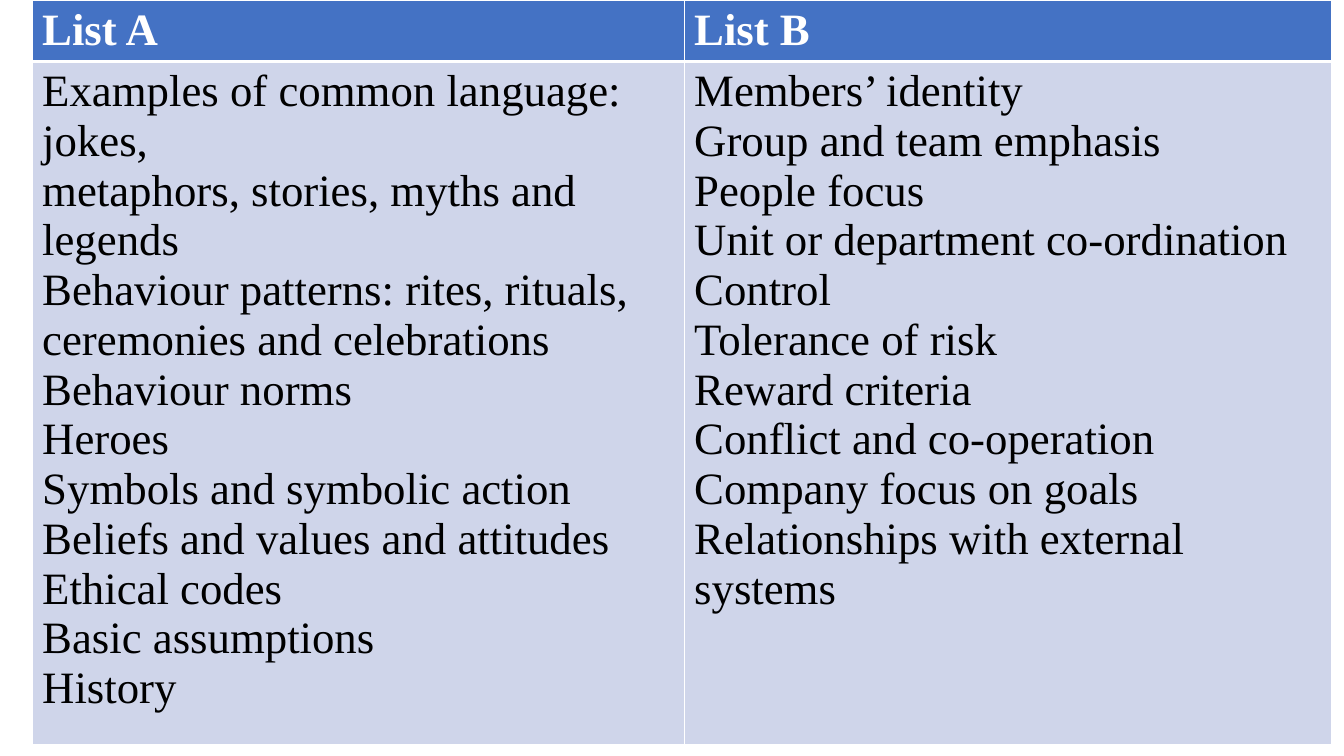
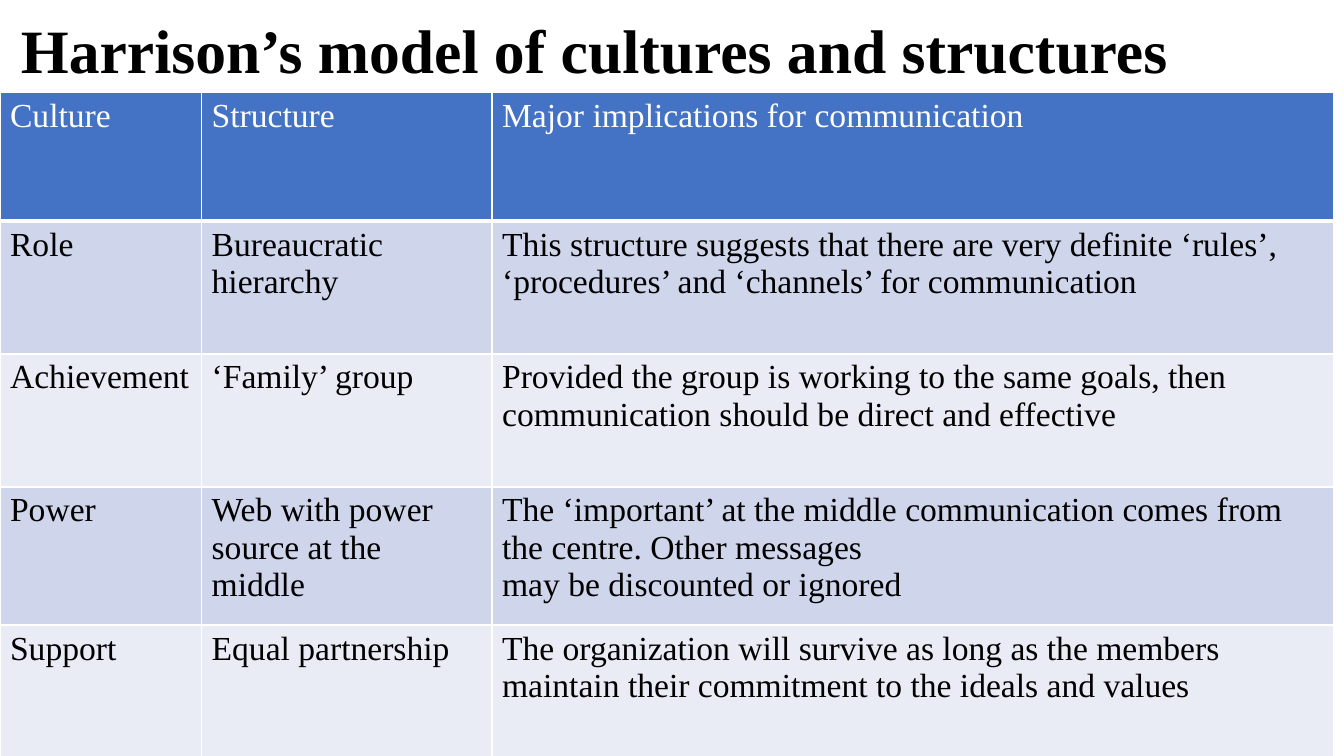
from dataclasses import dataclass

from lxml.etree import SubElement
from pptx import Presentation
from pptx.dml.color import RGBColor as Rgb
from pptx.enum.text import MSO_ANCHOR as Anchor
from pptx.oxml.ns import qn
from pptx.util import Cm, Pt

LISTS = [
    ("List A", "List B"),
    (
        "Examples of common language: jokes,\n"
        "metaphors, stories, myths and legends\n"
        "Behaviour patterns: rites, rituals,\n"
        "ceremonies and celebrations\n"
        "Behaviour norms\n"
        "Heroes\n"
        "Symbols and symbolic action\n"
        "Beliefs and values and attitudes\n"
        "Ethical codes\n"
        "Basic assumptions\n"
        "History",
        "Members’ identity\n"
        "Group and team emphasis\n"
        "People focus\n"
        "Unit or department co-ordination\n"
        "Control\n"
        "Tolerance of risk\n"
        "Reward criteria\n"
        "Conflict and co-operation\n"
        "Company focus on goals\n"
        "Relationships with external systems",
    ),
]

MODEL_TITLE = "Harrison’s model of cultures and structures"
MODEL = [
    ("Culture", "Structure", "Major implications for communication"),
    ("Role", "Bureaucratic hierarchy",
     "This structure suggests that there are very definite ‘rules’, "
     "‘procedures’ and ‘channels’ for communication"),
    ("Achievement", "‘Family’ group",
     "Provided the group is working to the same goals, then "
     "communication should be direct and effective"),
    ("Power", "Web with power source at the middle",
     "The ‘important’ at the middle communication comes from the centre. "
     "Other messages\nmay be discounted or ignored"),
    ("Support", "Equal partnership",
     "The organization will survive as long as the members maintain "
     "their commitment to the ideals and values"),
]


@dataclass(frozen=True)
class Theme:
    font: str = "Times New Roman"
    ink: str = "000000"
    paper: str = "FFFFFF"
    header: str = "4472C4"
    bands: tuple = ("CFD5EA", "E9EBF5")
    title_size: int = 44
    list_size: int = 32
    model_size: int = 24
    rule: int = 1
    header_rule: int = 3


THEME = Theme()


def write(frame, text, size, color, bold=False):
    frame.text = text
    for paragraph in frame.paragraphs:
        font = paragraph.font
        font.name, font.size, font.bold = THEME.font, Pt(size), bold
        font.color.rgb = Rgb.from_string(color)


def add_border(cell, side, width):
    line = SubElement(cell._tc.get_or_add_tcPr(), qn(f"a:ln{side}"), w=str(Pt(width)))
    solid = SubElement(line, qn("a:solidFill"))
    SubElement(solid, qn("a:srgbClr"), val=THEME.paper)


def style_cell(cell, row):
    for side in "LRTB":
        under_header = (row, side) in ((0, "B"), (1, "T"))
        add_border(cell, side, THEME.header_rule if under_header else THEME.rule)
    cell.fill.solid()
    color = THEME.bands[(row - 1) % 2] if row else THEME.header
    cell.fill.fore_color.rgb = Rgb.from_string(color)


def add_grid(slide, content, left, top, widths, heights, size, bold_header=False):
    grid = slide.shapes.add_table(
        len(heights), len(widths), Cm(left), Cm(top),
        Cm(sum(widths)), Cm(sum(heights))).table
    for column, width in zip(grid.columns, widths):
        column.width = Cm(width)
    for row, (texts, height) in enumerate(zip(content, heights)):
        grid.rows[row].height = Cm(height)
        for column, text in enumerate(texts):
            cell = grid.cell(row, column)
            style_cell(cell, row)
            write(cell.text_frame, text, size,
                  THEME.ink if row else THEME.paper, bold_header and row == 0)


def add_title(slide, text):
    frame = slide.shapes.add_textbox(Cm(0.28), 0, Cm(31.27), Cm(2.72)).text_frame
    frame.word_wrap = True
    frame.vertical_anchor = Anchor.MIDDLE
    write(frame, text, THEME.title_size, THEME.ink, bold=True)
    frame.paragraphs[0].line_spacing = 0.9


deck = Presentation()
deck.slide_width, deck.slide_height = Cm(33.87), Cm(19.05)
blank = deck.slide_layouts[6]

lists_slide = deck.slides.add_slide(blank)
add_grid(lists_slide, LISTS, 0.81, 0, (16.43, 16.31), (1.55, 17.22),
         THEME.list_size, bold_header=True)

model_slide = deck.slides.add_slide(blank)
add_title(model_slide, MODEL_TITLE)
add_grid(model_slide, MODEL, 0, 2.34, (5.08, 7.32, 21.21),
         (3.23, 3.35, 3.35, 3.48, 3.35), THEME.model_size)

deck.save("out.pptx")
